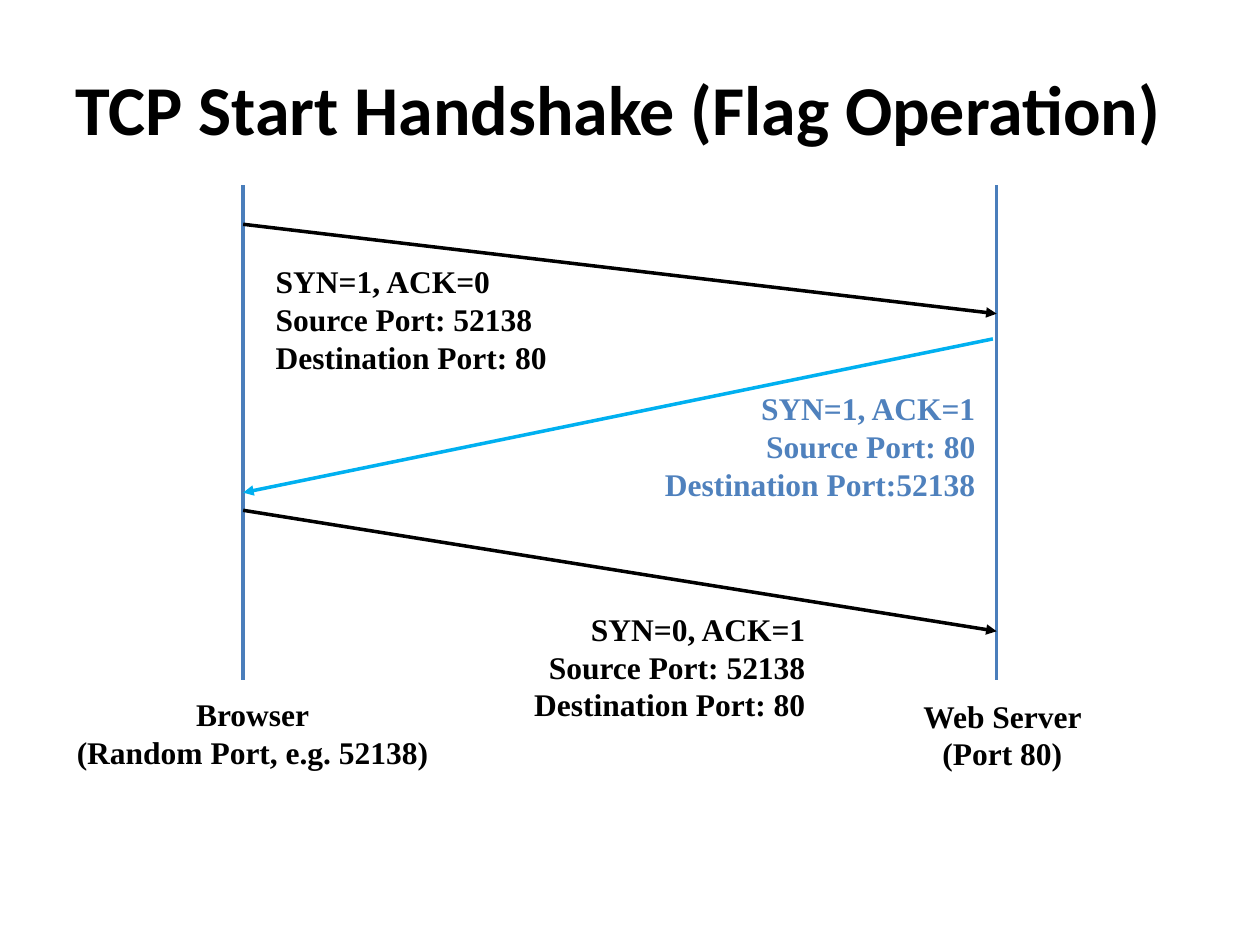
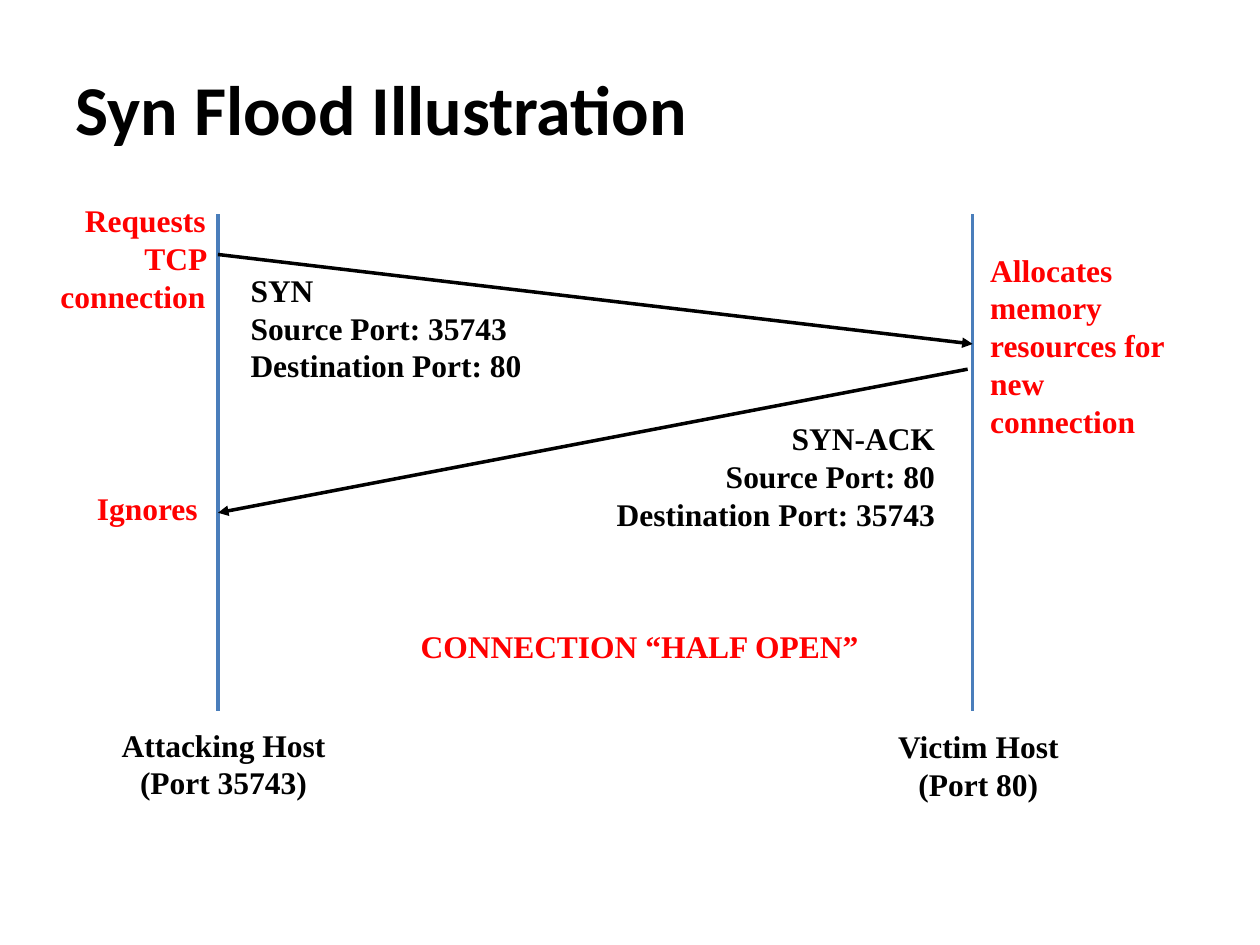
from collections import namedtuple
from dataclasses import dataclass

from lxml import etree
from pptx import Presentation
from pptx.dml.color import RGBColor
from pptx.enum.shapes import MSO_CONNECTOR
from pptx.enum.text import MSO_ANCHOR, MSO_AUTO_SIZE, PP_ALIGN
from pptx.oxml.ns import qn
from pptx.util import Inches, Pt

STRAIGHT = MSO_CONNECTOR.STRAIGHT
MIDDLE = MSO_ANCHOR.MIDDLE
GROW = MSO_AUTO_SIZE.SHAPE_TO_FIT_TEXT
LEFT, CENTER, RIGHT = PP_ALIGN.LEFT, PP_ALIGN.CENTER, PP_ALIGN.RIGHT
TITLE_ONLY = 5

Box = namedtuple("Box", "left top width height")
Label = namedtuple("Label", "box lines align color")
Message = namedtuple("Message", "start end color")


@dataclass(frozen=True)
class Theme:
    """Colours, fonts and sizes shared by the slides."""

    ink: RGBColor = RGBColor(0x00, 0x00, 0x00)
    lifeline: RGBColor = RGBColor(0x4A, 0x7E, 0xBB)
    reply_line: RGBColor = RGBColor(0x00, 0xB0, 0xF0)
    reply_text: RGBColor = RGBColor(0x4F, 0x81, 0xBD)
    alert: RGBColor = RGBColor(0xFF, 0x00, 0x00)
    title_font: str = "Calibri"
    body_font: str = "Times New Roman"
    title_size: int = 40
    body_size: int = 18
    line_width: int = 2


THEME = Theme()
TITLE_BOX = Box(0.5, 0.31, 9, 1.09)


def apply_format(target, values):
    """Set every named attribute on the target."""
    for name, value in values.items():
        setattr(target, name, value)


def fill_text(text_frame, lines, align, font_name, size, color):
    """Write one bold paragraph for each line."""
    for index, line in enumerate(lines):
        paragraph = text_frame.add_paragraph() if index else text_frame.paragraphs[0]
        paragraph.text = line
        paragraph.alignment = align
        apply_format(paragraph.font, {"name": font_name, "size": Pt(size), "bold": True})
        paragraph.font.color.rgb = color


def add_titled_slide(presentation, title):
    """Add a title-only slide with its title formatted."""
    slide = presentation.slides.add_slide(presentation.slide_layouts[TITLE_ONLY])
    shape = slide.shapes.title
    apply_format(shape, {name: Inches(value) for name, value in TITLE_BOX._asdict().items()})
    shape.text_frame.vertical_anchor = MIDDLE
    fill_text(shape.text_frame, [title], LEFT, THEME.title_font, THEME.title_size, THEME.ink)
    return slide


def add_line(slide, diagram, start, end, color, arrow=False):
    """Draw a line between two points measured from the diagram's corner."""
    points = [Inches(offset + corner) for point in (start, end)
              for offset, corner in zip(point, (diagram.left, diagram.top))]
    connector = slide.shapes.add_connector(STRAIGHT, *points)
    connector.line.color.rgb = color
    connector.line.width = Pt(THEME.line_width)
    if arrow:
        etree.SubElement(connector.line._get_or_add_ln(), qn("a:tailEnd"), type="triangle")
    etree.SubElement(connector._element.spPr, qn("a:effectLst"))


def add_label(slide, diagram, label):
    """Place a text box measured from the diagram's corner."""
    box = label.box
    shape = slide.shapes.add_textbox(
        Inches(diagram.left + box.left), Inches(diagram.top + box.top),
        Inches(box.width), Inches(box.height))
    apply_format(shape.text_frame, {"word_wrap": True, "auto_size": GROW})
    fill_text(shape.text_frame, label.lines, label.align,
              THEME.body_font, THEME.body_size, label.color)


def add_sequence(slide, diagram, messages, labels):
    """Draw two lifelines with the messages between them and their labels."""
    for x in (0, diagram.width):
        add_line(slide, diagram, (x, 0), (x, diagram.height), THEME.lifeline)
    for message in messages:
        add_line(slide, diagram, message.start, message.end, message.color, arrow=True)
    for label in labels:
        add_label(slide, diagram, label)


def server_label(diagram, text):
    """Return the caption below the right lifeline."""
    return Label(Box(diagram.width - 0.94, diagram.height + 0.08, 1.97, 0.7),
                 [text], CENTER, THEME.ink)


def build_handshake(presentation):
    """Build the slide on the three-way handshake."""
    slide = add_titled_slide(presentation, "TCP Start Handshake (Flag Operation)")
    diagram = Box(1.93, 1.47, 5.98, 3.93)
    messages = [
        Message((0, 0.31), (diagram.width, 1.02), THEME.ink),
        Message((diagram.width - 0.03, 1.22), (0, 2.44), THEME.reply_line),
        Message((0, 2.58), (diagram.width, 3.54), THEME.ink),
    ]
    labels = [
        Label(Box(0.16, 0.56, 2.64, 1),
              ["SYN=1, ACK=0", "Source Port: 52138", "Destination Port: 80"], LEFT, THEME.ink),
        Label(Box(3.11, 1.57, 2.8, 1),
              ["SYN=1, ACK=1", "Source Port: 80", "Destination Port:52138"],
              RIGHT, THEME.reply_text),
        Label(Box(1.77, 3.32, 2.79, 1),
              ["SYN=0, ACK=1", "Source Port: 52138", "Destination Port: 80"], RIGHT, THEME.ink),
        Label(Box(-1.58, 4, 3.31, 0.7),
              ["Browser", "(Random Port, e.g. 52138)"], CENTER, THEME.ink),
        server_label(diagram, "Web Server (Port 80)"),
    ]
    add_sequence(slide, diagram, messages, labels)


def build_syn_flood(presentation):
    """Build the slide on the half-open connection."""
    slide = add_titled_slide(presentation, "Syn Flood Illustration")
    diagram = Box(1.73, 1.7, 5.99, 3.94)
    messages = [
        Message((0, 0.32), (diagram.width, 1.03), THEME.ink),
        Message((diagram.width - 0.04, 1.23), (0, 2.37), THEME.ink),
    ]
    labels = [
        Label(Box(0.16, 0.4, 3.07, 1),
              ["SYN", "Source Port: 35743", "Destination Port: 80"], LEFT, THEME.ink),
        Label(Box(2.72, 1.58, 3.07, 1),
              ["SYN-ACK", "Source Port: 80", "Destination Port: 35743"], RIGHT, THEME.ink),
        Label(Box(-1.06, 2.13, 1.06, 0.4), ["Ignores"], LEFT, THEME.alert),
        Label(Box(6.03, 0.24, 1.59, 1.6),
              ["Allocates memory resources for new connection"], LEFT, THEME.alert),
        Label(Box(-1.38, -0.15, 1.38, 1), ["Requests TCP connection"], RIGHT, THEME.alert),
        Label(Box(1.51, 3.23, 3.73, 0.4), ["CONNECTION “HALF OPEN”"], LEFT, THEME.alert),
        Label(Box(-1.02, 4.01, 2.13, 0.7),
              ["Attacking Host", "(Port 35743)"], CENTER, THEME.ink),
        server_label(diagram, "Victim Host (Port 80)"),
    ]
    add_sequence(slide, diagram, messages, labels)


def main():
    """Build and save the presentation."""
    presentation = Presentation()
    presentation.slide_width = Inches(10)
    presentation.slide_height = Inches(7.5)
    build_handshake(presentation)
    build_syn_flood(presentation)
    presentation.save("out.pptx")


if __name__ == "__main__":
    main()
